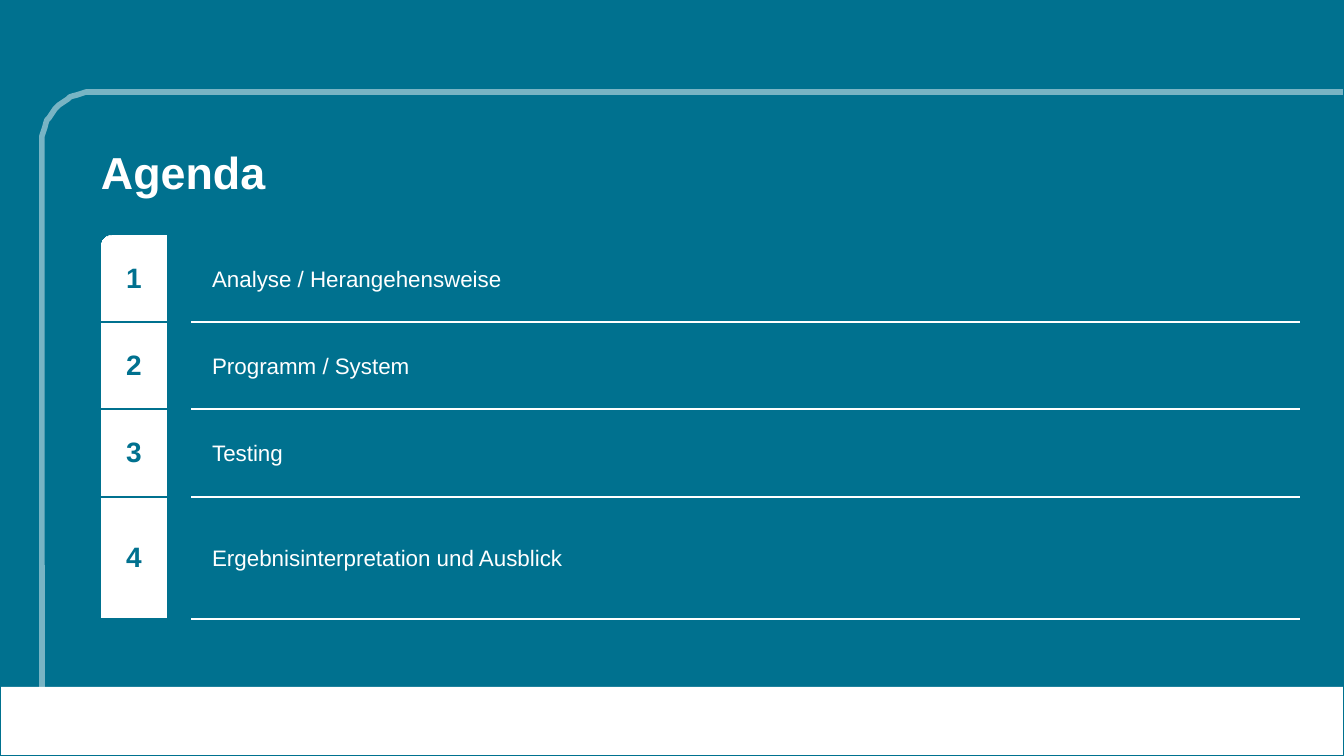
from math import cos, pi, sin

from lxml.etree import SubElement
from pptx import Presentation
from pptx.dml.color import RGBColor
from pptx.enum.shapes import MSO_CONNECTOR, MSO_SHAPE
from pptx.enum.text import MSO_ANCHOR, PP_ALIGN
from pptx.oxml import parse_xml
from pptx.oxml.ns import nsdecls, qn
from pptx.util import Emu, Pt

PX = 914400 / 100.8
COLORS = {"teal": "00718F", "frame": "78B4C4", "white": "FFFFFF"}
RGB = {name: RGBColor.from_string(value) for name, value in COLORS.items()}
FONT = "Arial"
NO_STYLE = "{2D5ABB26-0587-4C30-8999-92F81FD0307C}"
WIDTH, HEIGHT = 1344, 756


def px(*lengths):
    return [Emu(round(length * PX)) for length in lengths]


def corner(x, y, radius, steps=24):
    """Points of a top left rounded corner, from its top end to its left end."""
    angles = [pi / 2 * step / steps for step in range(steps + 1)]
    return [(x + radius * (1 - sin(a)), y + radius * (1 - cos(a))) for a in angles]


presentation = Presentation()
presentation.slide_width, presentation.slide_height = px(WIDTH, HEIGHT)
slide = presentation.slides.add_slide(presentation.slide_layouts[6])
slide.background.fill.solid()
slide.background.fill.fore_color.rgb = RGB["teal"]
shapes = slide.shapes

# Rounded frame line
builder = shapes.build_freeform(WIDTH, 92, scale=PX)
builder.add_line_segments(corner(42, 92, 51) + [(42, 565)], close=False)
frame = builder.convert_to_shape()
frame.shadow.inherit = False
frame.fill.background()
frame_end = shapes.add_connector(MSO_CONNECTOR.STRAIGHT, *px(42, 565, 42, 687))
SubElement(frame_end._element.spPr, qn("a:effectLst"))
for part in (frame, frame_end):
    part.line.color.rgb = RGB["frame"]
    part.line.width = Pt(4)

# Footer band and slide outline
footer = shapes.add_shape(MSO_SHAPE.RECTANGLE, *px(0, 687, WIDTH, HEIGHT - 687))
footer.shadow.inherit = False
footer.fill.solid()
footer.fill.fore_color.rgb = RGB["white"]
footer.line.fill.background()
outline = shapes.add_shape(MSO_SHAPE.RECTANGLE, *px(0, 0, WIDTH, HEIGHT))
outline.shadow.inherit = False
outline.fill.background()
outline.line.color.rgb = RGB["teal"]
outline.line.width = Pt(0.75)

# Agenda table: number, gap, topic
topics = [
    "Analyse / Herangehensweise",
    "Programm / System",
    "Testing",
    "Ergebnisinterpretation und Ausblick",
]
row_heights = px(87, 87, 88, 122)
column_widths = px(66, 24, 1109)
table = shapes.add_table(
    len(topics), 3, *px(101, 235), sum(column_widths), sum(row_heights)
).table
table.first_row = table.horz_banding = False
table._tbl.tblPr.find(qn("a:tableStyleId")).text = NO_STYLE
for column, width in zip(table.columns, column_widths):
    column.width = width

for index, topic in enumerate(topics):
    table.rows[index].height = row_heights[index]
    number_cell, gap_cell, topic_cell = table.rows[index].cells
    gap_cell.fill.background()
    topic_cell.fill.background()
    number_cell.fill.solid()
    number_cell.fill.fore_color.rgb = RGB["white"]
    for cell, text, size, color, margin in (
        (number_cell, str(index + 1), 20, "teal", 4),
        (topic_cell, topic, 16, "white", 21),
    ):
        cell.vertical_anchor = MSO_ANCHOR.MIDDLE
        cell.margin_left, cell.margin_right = px(margin, margin)
        cell.margin_top, cell.margin_bottom = px(4, 4)
        paragraph = cell.text_frame.paragraphs[0]
        paragraph.text = text
        paragraph.font.name = FONT
        paragraph.font.size = Pt(size)
        paragraph.font.bold = cell is number_cell
        paragraph.font.color.rgb = RGB[color]
        border = parse_xml(
            f'<a:lnB {nsdecls("a")} w="12700"><a:solidFill>'
            f'<a:srgbClr val="{COLORS[color]}"/></a:solidFill></a:lnB>'
        )
        cell._tc.get_or_add_tcPr().insert(0, border)
    number_cell.text_frame.paragraphs[0].alignment = PP_ALIGN.CENTER
    topic_paragraph = topic_cell.text_frame.paragraphs[0]
    topic_paragraph.line_spacing = 1.1
    topic_paragraph.space_after = Pt(10)

# Teal wedge that rounds the first number cell
builder = shapes.build_freeform(101, 235, scale=PX)
builder.add_line_segments(corner(101, 235, 11), close=True)
wedge = builder.convert_to_shape()
wedge.shadow.inherit = False
wedge.fill.solid()
wedge.fill.fore_color.rgb = RGB["teal"]
wedge.line.fill.background()

title = shapes.add_textbox(*px(101, 145, 1111, 54)).text_frame
title.word_wrap = True
title.margin_left = title.margin_right = title.margin_top = title.margin_bottom = 0
title.vertical_anchor = MSO_ANCHOR.MIDDLE
title_paragraph = title.paragraphs[0]
title_paragraph.text = "Agenda"
title_paragraph.font.name = FONT
title_paragraph.font.size = Pt(32)
title_paragraph.font.bold = True
title_paragraph.font.color.rgb = RGB["white"]

presentation.save("out.pptx")
